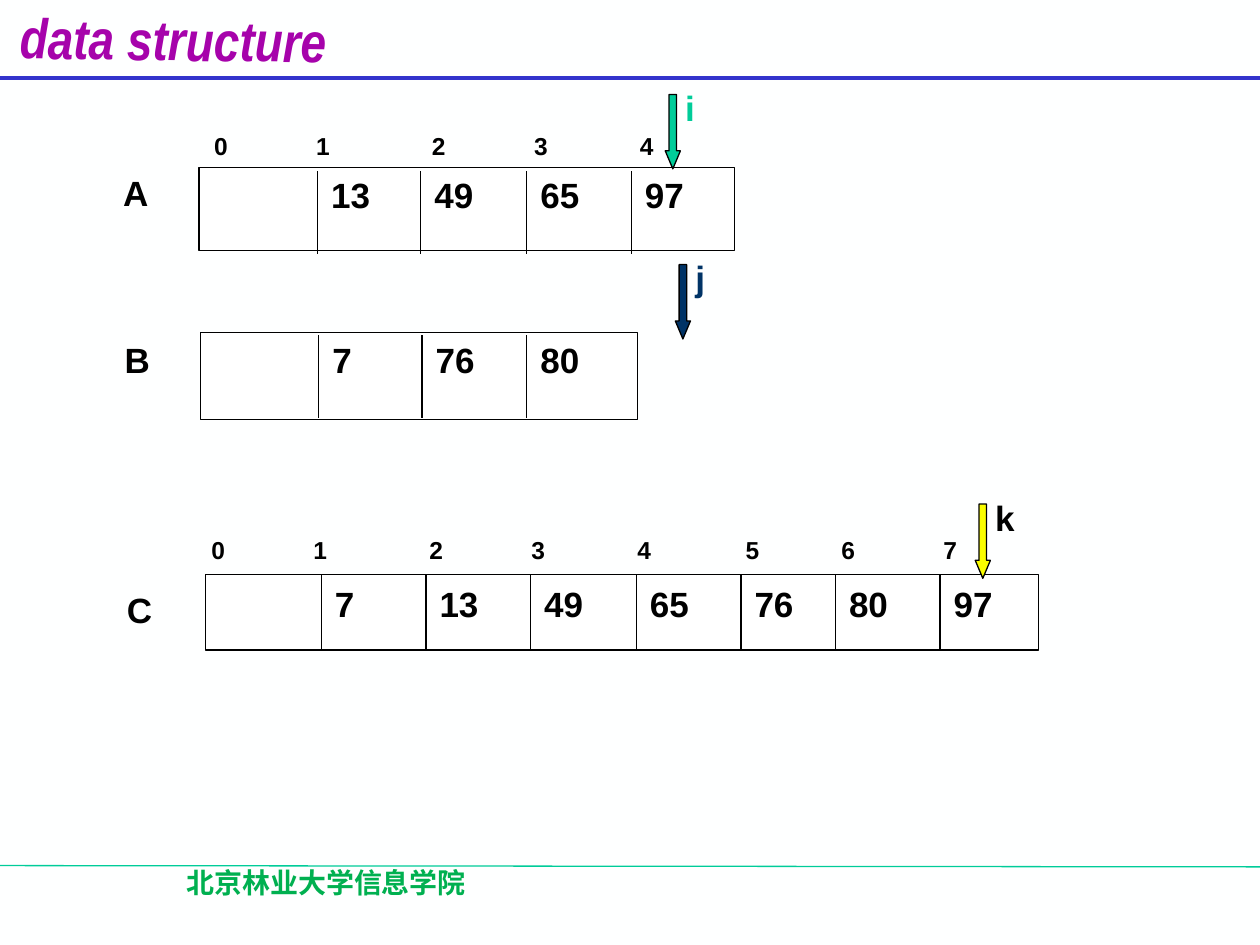
from dataclasses import dataclass

from lxml import etree
from pptx import Presentation
from pptx import util as u
from pptx.dml import color
from pptx.enum import shapes, text
from pptx.oxml import ns


@dataclass(frozen=True)
class Theme:
    """Colours, fonts and type sizes of the slide."""
    back: str = "FEFFFF"
    cell: str = "FFFFFF"
    ink: str = "000000"
    title: str = "A603AB"
    header_rule: str = "3333CC"
    teal: str = "00CC99"
    navy: str = "003366"
    yellow: str = "FAFD00"
    footer: str = "00B050"
    body_font: str = "Arial"
    title_font: str = "Arial Narrow"
    footer_font: str = "Noto Sans CJK SC"
    title_size: int = 32
    value_size: int = 20
    footer_size: int = 16
    index_size: int = 14


T = Theme()
INDEX_TABS = [0.81, 1.73, 2.54, 3.38, 4.24, 5, 5.81]


def rgb(value):
    """Return a colour from its hex digits."""
    return color.RGBColor.from_string(value)


def add_text(parent, content, x, y, w, h, size=T.value_size, fill=T.ink,
             font=T.body_font, italic=False, align=None, tabs=(), turn=0):
    """Add a bold one-line text box, with optional tab stops in inches."""
    sp = parent.add_textbox(*map(u.Inches, (x, y, w, h)))
    sp.rotation = turn
    tf = sp.text_frame
    tf.word_wrap = True
    p = tf.paragraphs[0]
    if tabs:
        stops = etree.SubElement(p._p.get_or_add_pPr(), ns.qn("a:tabLst"))
        for pos in tabs:
            etree.SubElement(stops, ns.qn("a:tab"), pos=str(u.Inches(pos)), algn="l")
    p.alignment = align
    r = p.add_run()
    r.text = content
    r.font.size = u.Pt(size)
    r.font.name = font
    r.font.bold = True
    r.font.italic = italic
    r.font.color.rgb = rgb(fill)
    etree.SubElement(r._r.get_or_add_rPr(), ns.qn("a:ea"), typeface=font)
    return sp


def add_shape(parent, kind, x, y, w, h, fill):
    """Add a filled preset shape with a thin black outline."""
    sp = parent.add_shape(kind, *map(u.Inches, (x, y, w, h)))
    sp.shadow.inherit = False
    sp.fill.solid()
    sp.fill.fore_color.rgb = rgb(fill)
    sp.line.color.rgb = rgb(T.ink)
    sp.line.width = u.Pt(0.75)
    return sp


def add_line(parent, x1, y1, x2, y2, stroke=T.ink, width=0.75):
    """Add a straight line without a shadow."""
    line = parent.add_connector(shapes.MSO_CONNECTOR.STRAIGHT,
                                *map(u.Inches, (x1, y1, x2, y2)))
    line.line.color.rgb = rgb(stroke)
    line.line.width = u.Pt(width)
    etree.SubElement(line._element.spPr, ns.qn("a:effectLst"))


def add_array(parent, name, name_at, box, dividers, span, values, value_y):
    """Draw a named array: its box, cell dividers and values after cell 0."""
    add_shape(parent, shapes.MSO_SHAPE.RECTANGLE, *box, T.cell)
    add_text(parent, name, *name_at, 0.67, 0.44)
    for x, value in zip(dividers, values):
        add_line(parent, x, span[0], x, span[1])
        add_text(parent, str(value), x + 0.01, value_y, 0.67, 0.44)


def add_indices(parent, count, x, y, w):
    """Write the cell numbers above an array."""
    add_text(parent, "\t".join(map(str, range(count))), x, y, w, 0.34,
             size=T.index_size, tabs=INDEX_TABS[:count - 1])


def add_pointer(parent, name, x, y, fill, label_fill):
    """Group a down arrow with its index variable."""
    group = parent.add_group_shape().shapes
    arrow = add_shape(group, shapes.MSO_SHAPE.DOWN_ARROW, x, y, 0.12, 0.59, fill)
    arrow.adjustments[0] = 0.5
    arrow.adjustments[1] = 1.19
    add_text(group, name, x + 0.06, y - 0.11, 0.53, 0.44, fill=label_fill)


def add_frame(parent):
    """Add the title, the footer and their rules."""
    add_line(parent, 0, 6.87, 10, 6.88, T.teal)
    add_line(parent, 0, 0.62, 10, 0.62, T.header_rule, 2.25)
    add_text(parent, "data structure", 0.06, -0.01, 2.75, 0.54, size=T.title_size,
             fill=T.title, font=T.title_font, italic=True, turn=0.8)
    add_text(parent, "北京林业大学信息学院", 0.52, 6.82, 4.14, 0.5, size=T.footer_size,
             fill=T.footer, font=T.footer_font, align=text.PP_ALIGN.CENTER)


def main():
    """Build the merge step slide."""
    prs = Presentation()
    prs.slide_width, prs.slide_height = u.Inches(10), u.Inches(7.5)
    s = prs.slides.add_slide(prs.slide_layouts[6])
    s.background.fill.solid()
    s.background.fill.fore_color.rgb = rgb(T.back)
    sps = s.shapes

    add_frame(sps)
    add_indices(sps, 5, 1.6, 0.99, 4.25)
    add_array(sps, "A", (0.88, 1.31), (1.58, 1.33, 4.25, 0.66),
              [2.52, 3.34, 4.18, 5.01], (1.36, 2.02), [13, 49, 65, 97], 1.33)
    add_array(sps, "B", (0.89, 2.64), (1.59, 2.64, 3.47, 0.69),
              [2.53, 3.35, 4.18], (2.66, 3.32), [7, 76, 80], 2.64)
    add_indices(sps, 8, 1.58, 4.2, 6.66)
    add_array(sps, "C", (0.91, 4.62), (1.63, 4.56, 6.61, 0.6),
              [2.55, 3.38, 4.21, 5.05, 5.88, 6.63, 7.46], (4.56, 5.17),
              [7, 13, 49, 65, 76, 80, 97], 4.57)
    add_pointer(sps, "i", 5.28, 0.75, T.teal, T.teal)
    add_pointer(sps, "j", 5.36, 2.1, T.navy, T.navy)
    add_pointer(sps, "k", 7.74, 4, T.yellow, T.ink)
    prs.save("out.pptx")


if __name__ == "__main__":
    main()
